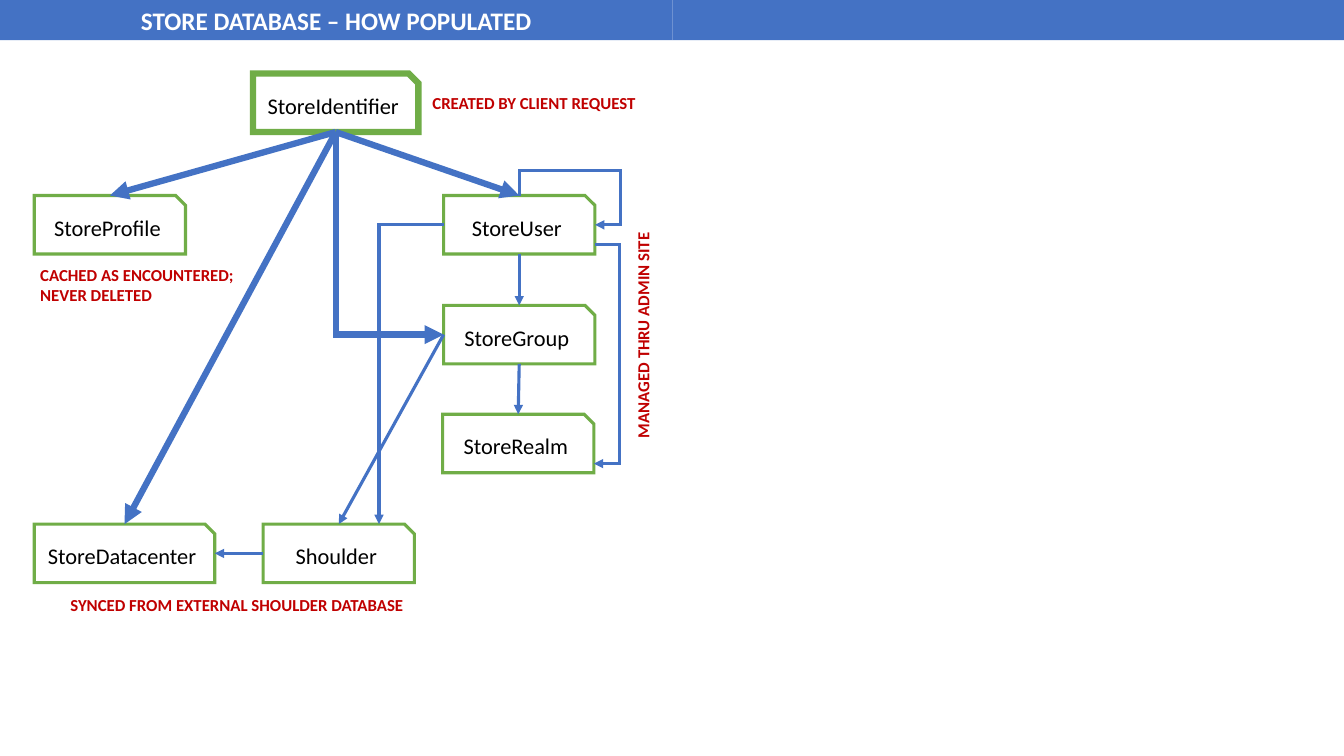
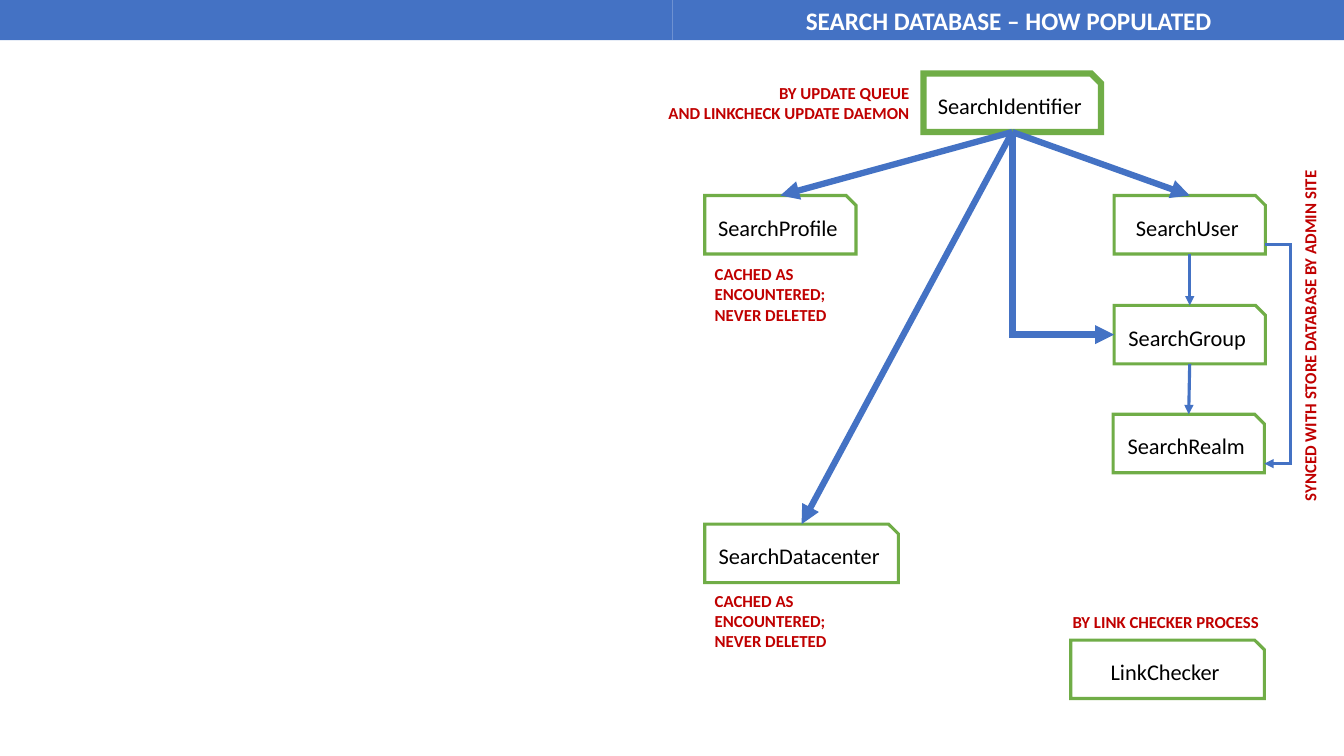
import lxml.etree
import pptx
import pptx.dml.color
import pptx.enum.shapes
import pptx.enum.text
import pptx.oxml.ns
import pptx.util

Inches = pptx.util.Inches
Pt = pptx.util.Pt
SHAPES = pptx.enum.shapes.MSO_SHAPE
CONNECTORS = pptx.enum.shapes.MSO_CONNECTOR
ANCHOR = pptx.enum.text.MSO_ANCHOR
ALIGN = pptx.enum.text.PP_ALIGN
AUTO_SIZE = pptx.enum.text.MSO_AUTO_SIZE
qn = pptx.oxml.ns.qn

BLUE = pptx.dml.color.RGBColor(0x44, 0x72, 0xC4)
GREEN = pptx.dml.color.RGBColor(0x70, 0xAD, 0x47)
RED = pptx.dml.color.RGBColor(0xC0, 0x00, 0x00)
BLACK = pptx.dml.color.RGBColor(0x00, 0x00, 0x00)
WHITE = pptx.dml.color.RGBColor(0xFF, 0xFF, 0xFF)

TITLE_FONT = {"name": "Calibri", "size": Pt(18), "bold": True}
ENTITY_FONT = {"name": "Calibri", "size": Pt(16), "bold": False}
CAPTION_FONT = {"name": "Calibri", "size": Pt(12), "bold": True}
CAPTION_FRAME = {"word_wrap": False, "auto_size": AUTO_SIZE.SHAPE_TO_FIT_TEXT,
                 "vertical_anchor": ANCHOR.TOP}
CENTERED_FRAME = {"word_wrap": True, "vertical_anchor": ANCHOR.MIDDLE}

THICK, THIN = Pt(4.5), Pt(2.25)
HALF_WIDTH = Inches(6.67)
ENTITY_WIDTH, ENTITY_HEIGHT = Inches(1.5), Inches(0.58)
ROW_TOPS = [Inches(top) for top in (0.73, 1.94, 3.03, 4.11, 5.2)]
BULGE = Inches(0.25)
PORT_DROP = Inches(0.49)


def apply(target, values):
    """Set every attribute listed in a dict."""
    for name, value in values.items():
        setattr(target, name, value)


def write(shape, text, frame_format, font_format, color, align):
    """Put formatted text into a shape."""
    frame = shape.text_frame
    apply(frame, frame_format)
    frame.text = text
    for paragraph in frame.paragraphs:
        paragraph.alignment = align
        for run in paragraph.runs:
            apply(run.font, font_format)
            run.font.color.rgb = color


def block(slide, kind, bounds, fill, border=None):
    """Add a filled shape, with a mitred green border of the given width if any."""
    shape = slide.shapes.add_shape(kind, *bounds)
    shape.shadow.inherit = False
    shape.fill.solid()
    shape.fill.fore_color.rgb = fill
    if border is None:
        shape.line.fill.background()
    else:
        shape.line.color.rgb = GREEN
        shape.line.width = border
        outline = shape._element.spPr.find(qn("a:ln"))
        lxml.etree.SubElement(outline, qn("a:miter"), lim="800000")
    return shape


def title_band(slide, left, title=""):
    """Add one half of the title band."""
    band = block(slide, SHAPES.RECTANGLE, (left, 0, HALF_WIDTH, Inches(0.4)), BLUE)
    if title:
        write(band, title, CENTERED_FRAME, TITLE_FONT, WHITE, ALIGN.CENTER)


def entity(slide, name, left, top, width=ENTITY_WIDTH, border=THIN):
    """Add a database entity box."""
    box = block(slide, SHAPES.SNIP_1_RECTANGLE, (left, top, width, ENTITY_HEIGHT),
                WHITE, border)
    write(box, name, CENTERED_FRAME, ENTITY_FONT, BLACK, ALIGN.CENTER)
    return box


def caption(slide, text, bounds, align=ALIGN.LEFT, rotation=0):
    """Add a red note on how entities are populated."""
    note = block(slide, SHAPES.RECTANGLE, [Inches(length) for length in bounds], WHITE)
    note.rotation = rotation
    write(note, text, CAPTION_FRAME, CAPTION_FONT, RED, align)


def port(box, across, down):
    """Return the point at the given fractions of a box."""
    return box.left + int(box.width * across), box.top + int(box.height * down)


def arrow(slide, start, end, width=THIN, kind=CONNECTORS.STRAIGHT):
    """Add a blue arrow between two points."""
    link = slide.shapes.add_connector(kind, *start, *end)
    link.line.color.rgb = BLUE
    link.line.width = width
    properties = link._element.spPr
    outline = properties.find(qn("a:ln"))
    lxml.etree.SubElement(outline, qn("a:miter"), lim="800000")
    lxml.etree.SubElement(outline, qn("a:tailEnd"), type="triangle")
    lxml.etree.SubElement(properties, qn("a:effectLst"))
    return link


def elbow(slide, start, end, bends, width=THIN, turned=False, adjustments=()):
    """Add a bent arrow; a turned one leaves its start vertically."""
    (x1, y1), (x2, y2) = start, end
    if turned:
        center_x, center_y = (x1 + x2) // 2, (y1 + y2) // 2
        half_x, half_y = abs(y2 - y1) // 2, abs(x2 - x1) // 2
        start = center_x + half_x, center_y - half_y
        end = center_x - half_x, center_y + half_y
    link = arrow(slide, start, end, width, CONNECTORS.ELBOW)
    properties = link._element.spPr
    if turned:
        properties.find(qn("a:xfrm")).set("rot", str(270 * 60000))
    geometry = properties.find(qn("a:prstGeom"))
    geometry.set("prst", f"bentConnector{bends + 1}")
    guides = geometry.find(qn("a:avLst"))
    for number, ratio in enumerate(adjustments, 1):
        lxml.etree.SubElement(guides, qn("a:gd"), name=f"adj{number}",
                              fmla=f"val {round(ratio * 100000)}")


def entity_tree(slide, left, prefix, identifier_width, datacenter_width):
    """Add the entities and arrows both databases share; return the boxes."""
    layout = {
        "Identifier": (2.17, 0, identifier_width, THICK),
        "Profile": (0, 1, ENTITY_WIDTH, THIN),
        "User": (4.06, 1, ENTITY_WIDTH, THIN),
        "Group": (4.06, 2, ENTITY_WIDTH, THIN),
        "Realm": (4.05, 3, ENTITY_WIDTH, THIN),
        "Datacenter": (0, 4, datacenter_width, THIN),
    }
    boxes = {
        name: entity(slide, prefix + name, left + Inches(offset), ROW_TOPS[row],
                     width, border)
        for name, (offset, row, width, border) in layout.items()
    }
    source = port(boxes["Identifier"], 0.5, 1)
    for name in ("User", "Profile", "Datacenter"):
        arrow(slide, source, port(boxes[name], 0.5, 0), THICK)
    elbow(slide, source, port(boxes["Group"], 0, 0.5), 1, THICK, turned=True)
    for upper, lower in (("User", "Group"), ("Group", "Realm")):
        arrow(slide, port(boxes[upper], 0.5, 1), port(boxes[lower], 0.5, 0))
    (user_x, user_y), (realm_x, realm_y) = (
        port(boxes[name], 1, 0) for name in ("User", "Realm"))
    elbow(slide, (user_x, user_y + PORT_DROP), (realm_x, realm_y + PORT_DROP), 2,
          adjustments=[-BULGE / (user_x - realm_x)])
    return boxes


def store_slide(deck):
    """Build the store database slide."""
    slide = deck.slides.add_slide(deck.slide_layouts[6])
    title_band(slide, 0, "STORE DATABASE – HOW POPULATED")
    title_band(slide, HALF_WIDTH)
    caption(slide, "CACHED AS ENCOUNTERED;\vNEVER DELETED", (0.3, 2.58, 2.15, 0.5))
    boxes = entity_tree(slide, Inches(0.34), "Store", Inches(1.64), Inches(1.79))
    shoulder = entity(slide, "Shoulder", Inches(2.61), ROW_TOPS[4])
    user, group = boxes["User"], boxes["Group"]
    arrow(slide, port(group, 0, 0.5), port(shoulder, 0.5, 0))
    arrow(slide, port(shoulder, 0, 0.5), port(boxes["Datacenter"], 1, 0.5))
    elbow(slide, port(user, 0, 0.5), (Inches(3.76), shoulder.top), 1)
    elbow(slide, port(user, 0.5, 0), port(user, 1, 0.5), 3, turned=True,
          adjustments=[-BULGE / (user.height / 2), 1 + BULGE / (user.width / 2)])
    caption(slide, "SYNCED FROM EXTERNAL SHOULDER DATABASE", (0.6, 5.85, 3.55, 0.3))
    caption(slide, "MANAGED THRU ADMIN SITE", (5.24, 3.16, 2.27, 0.3), rotation=270)
    caption(slide, "CREATED BY CLIENT REQUEST", (4.19, 0.87, 2.25, 0.3))


def search_slide(deck):
    """Build the search database slide."""
    slide = deck.slides.add_slide(deck.slide_layouts[6])
    title_band(slide, 0)
    title_band(slide, HALF_WIDTH, "SEARCH DATABASE – HOW POPULATED")
    wide = Inches(1.92)
    entity_tree(slide, Inches(6.99), "Search", Inches(1.76), wide)
    entity(slide, "LinkChecker", Inches(10.62), Inches(6.35), wide)
    caption(slide, "BY UPDATE QUEUE\nAND LINKCHECK UPDATE DAEMON",
            (6.49, 0.77, 2.63, 0.5), ALIGN.RIGHT)
    for top in (2.57, 5.81):
        caption(slide, "CACHED AS\nENCOUNTERED;\nNEVER DELETED", (6.99, top, 1.33, 0.71))
    caption(slide, "SYNCED WITH STORE DATABASE BY ADMIN SITE",
            (11.23, 3.16, 3.52, 0.3), rotation=270)
    caption(slide, "BY LINK CHECKER PROCESS", (10.54, 6.02, 2.08, 0.3))


def main():
    """Build and save the presentation."""
    deck = pptx.Presentation()
    apply(deck, {"slide_width": Inches(13.33), "slide_height": Inches(7.5)})
    store_slide(deck)
    search_slide(deck)
    deck.save("out.pptx")


main()
